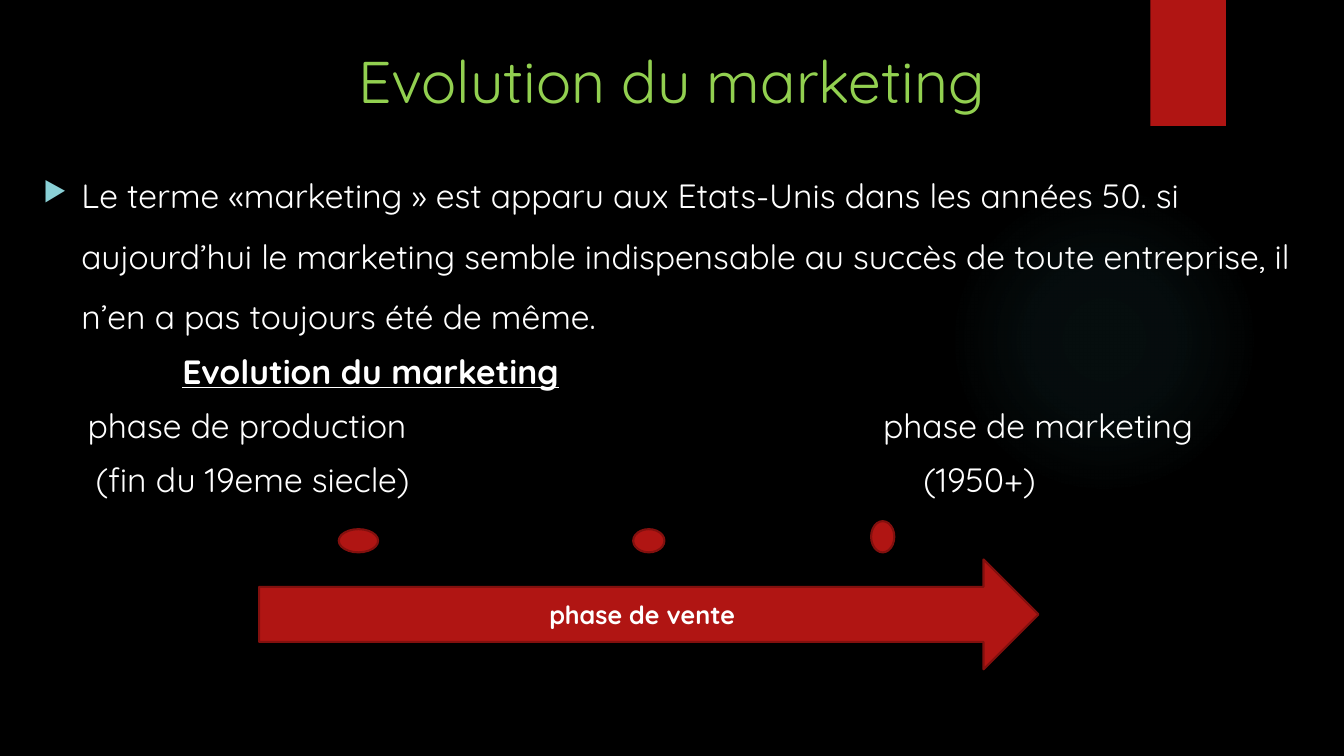
from dataclasses import dataclass

from lxml import etree
from pptx import Presentation
from pptx.dml.color import RGBColor
from pptx.enum.shapes import MSO_SHAPE as Shape
from pptx.enum.text import MSO_ANCHOR as Anchor, MSO_AUTO_SIZE as AutoSize, PP_ALIGN as Align
from pptx.oxml import parse_xml
from pptx.oxml.ns import nsdecls, qn
from pptx.util import Inches, Pt


@dataclass(frozen=True)
class Theme:
    font: str = "Quicksand"
    background: str = "000000"
    text: str = "FFFFFF"
    title: str = "92D050"
    red: str = "B01513"
    outline: str = "82100E"
    bullet: str = "8AD0D6"
    glow: str = "50B9C1"
    title_size: int = 42
    body_size: int = 24
    arrow_size: int = 18


THEME = Theme()


def write(paragraph, text, size=THEME.body_size, color=THEME.text, bold=False,
          underline=False, align=Align.LEFT, line=1.0, before=0):
    paragraph.alignment = align
    paragraph.line_spacing = line
    paragraph.space_before = Pt(before)
    run = paragraph.add_run()
    run.text = text
    run.font.name = THEME.font
    run.font.size = Pt(size)
    run.font.bold = bold
    run.font.underline = underline
    run.font.color.rgb = RGBColor.from_string(color)


def add_red_shape(kind, left, top, width, height, outlined=True):
    shape = slide.shapes.add_shape(kind, Inches(left), Inches(top), Inches(width), Inches(height))
    shape.shadow.inherit = False
    shape.fill.solid()
    shape.fill.fore_color.rgb = RGBColor.from_string(THEME.red)
    if outlined:
        shape.line.color.rgb = RGBColor.from_string(THEME.outline)
        shape.line.width = Pt(1.5)
    else:
        shape.line.fill.background()
    return shape


prs = Presentation()
prs.slide_width, prs.slide_height = Inches(13.33), Inches(7.5)
slide = prs.slides.add_slide(prs.slide_layouts[5])
slide.background.fill.solid()
slide.background.fill.fore_color.rgb = RGBColor.from_string(THEME.background)

# Background glow and bookmark, kept behind the title
glow = add_red_shape(Shape.OVAL, 9.41, 1.83, 3.08, 3.08, outlined=False)
stops = "".join(
    f'<a:gs pos="{position * 1000}"><a:srgbClr val="{THEME.glow}">'
    f'<a:alpha val="{alpha * 1000}"/></a:srgbClr></a:gs>'
    for position, alpha in [(0, 7), (36, 6), (69, 0)])
solid = glow.fill._xPr.find(qn("a:solidFill"))
solid.getparent().replace(solid, parse_xml(
    f'<a:gradFill {nsdecls("a")}><a:gsLst>{stops}</a:gsLst><a:path path="circle">'
    '<a:fillToRect l="50000" t="50000" r="50000" b="50000"/></a:path></a:gradFill>'))
bookmark = add_red_shape(Shape.RECTANGLE, 11.41, 0, 0.75, 1.25, outlined=False)

title = slide.shapes.title
title.left, title.top, title.width, title.height = map(Inches, (0.69, 0.39, 11.94, 1.1))
title.text_frame.auto_size = AutoSize.NONE
title.text_frame.vertical_anchor = Anchor.TOP
write(title.text_frame.paragraphs[0], "Evolution du marketing", size=THEME.title_size,
      color=THEME.title, align=Align.CENTER)
bookmark._element.addprevious(title._element)
bookmark._element.addprevious(glow._element)
bookmark._element.addnext(title._element)

# Introduction and the phase labels
body = slide.shapes.add_textbox(Inches(0.33), Inches(1.49), Inches(12.68), Inches(5.62)).text_frame
body.word_wrap = True
intro = body.paragraphs[0]
write(intro, "Le terme «marketing » est apparu aux Etats-Unis dans les années 50. si aujourd’hui "
      "le marketing semble indispensable au succès de toute entreprise, il n’en a pas toujours "
      "été de même.", line=1.5, before=10)
intro_format = intro._p.get_or_add_pPr()
intro_format.set("marL", str(Inches(0.38)))
intro_format.set("indent", str(-Inches(0.38)))
bullet_color = etree.SubElement(intro_format, qn("a:buClr"))
etree.SubElement(bullet_color, qn("a:srgbClr"), val=THEME.bullet)
etree.SubElement(intro_format, qn("a:buSzPct"), val="80000")
etree.SubElement(intro_format, qn("a:buChar"), char="▶")

heading = body.add_paragraph()
write(heading, "Evolution du marketing", bold=True, underline=True, before=10)
heading._p.get_or_add_pPr().set("marL", str(Inches(1.38)))

phase_rows = [
    ("phase de production", 0.44, "phase de marketing", 8.33),
    ("(fin du 19eme siecle)", 0.52, "(1950+)", 8.73),
]
for early, early_tab, late, late_tab in phase_rows:
    row = body.add_paragraph()
    write(row, f"\t{early}\t{late}", before=10)
    tabs = etree.SubElement(row._p.get_or_add_pPr(), qn("a:tabLst"))
    for stop in (early_tab, late_tab):
        etree.SubElement(tabs, qn("a:tab"), pos=str(Inches(stop)), algn="l")

# Timeline
timeline = add_red_shape(Shape.RIGHT_ARROW, 2.57, 5.55, 7.73, 1.09)
timeline.text_frame.margin_left = Inches(0.24)
timeline.text_frame.vertical_anchor = Anchor.MIDDLE
write(timeline.text_frame.paragraphs[0], "phase de vente", size=THEME.arrow_size, bold=True,
      align=Align.CENTER)

for milestone in [(3.36, 5.25, 0.39, 0.23), (6.28, 5.25, 0.31, 0.23), (8.64, 5.17, 0.23, 0.31)]:
    add_red_shape(Shape.OVAL, *milestone)

prs.save("out.pptx")
